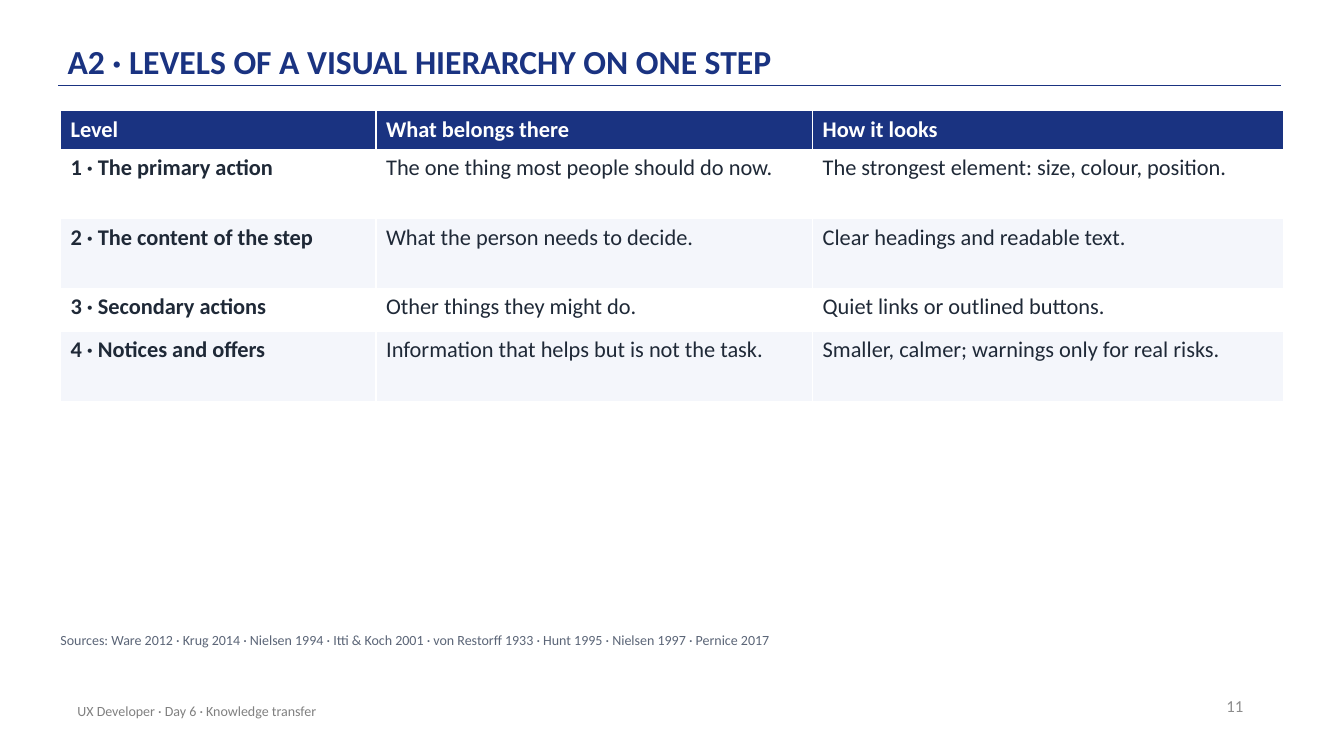
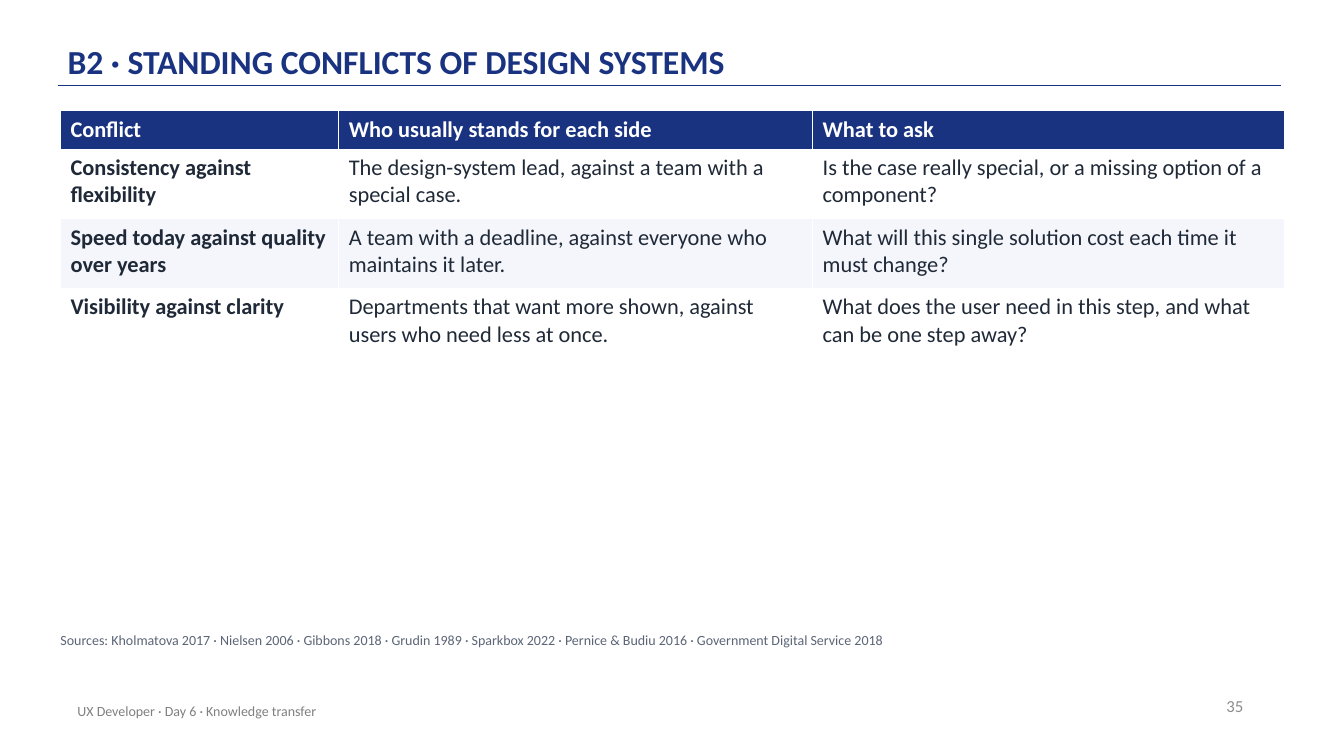
from dataclasses import dataclass

from lxml.etree import SubElement
from pptx import Presentation
from pptx.dml.color import RGBColor
from pptx.enum.shapes import MSO_CONNECTOR
from pptx.enum.text import MSO_ANCHOR, PP_ALIGN
from pptx.oxml.ns import qn
from pptx.util import Inches, Pt

# Content
FOOTER = "UX Developer · Day 6 · Knowledge transfer"
PAGES = [
    {
        "title": "A2 · LEVELS OF A VISUAL HIERARCHY ON ONE STEP",
        "number": "11",
        "columns": [3.13, 4.33, 4.67],
        "row_lines": [2, 2, 1, 2],
        "table": [
            ("Level", "What belongs there", "How it looks"),
            ("1 · The primary action", "The one thing most people should do now.",
             "The strongest element: size, colour, position."),
            ("2 · The content of the step", "What the person needs to decide.",
             "Clear headings and readable text."),
            ("3 · Secondary actions", "Other things they might do.",
             "Quiet links or outlined buttons."),
            ("4 · Notices and offers", "Information that helps but is not the task.",
             "Smaller, calmer; warnings only for real risks."),
        ],
        "sources": "Sources: Ware 2012 · Krug 2014 · Nielsen 1994 · Itti & Koch 2001 · "
                   "von Restorff 1933 · Hunt 1995 · Nielsen 1997 · Pernice 2017",
    },
    {
        "title": "B2 · STANDING CONFLICTS OF DESIGN SYSTEMS",
        "number": "35",
        "columns": [2.76, 4.7, 4.68],
        "row_lines": [2, 2, 2],
        "table": [
            ("Conflict", "Who usually stands for each side", "What to ask"),
            ("Consistency against flexibility",
             "The design-system lead, against a team with a special case.",
             "Is the case really special, or a missing option of a component?"),
            ("Speed today against quality over years",
             "A team with a deadline, against everyone who maintains it later.",
             "What will this single solution cost each time it must change?"),
            ("Visibility against clarity",
             "Departments that want more shown, against users who need less at once.",
             "What does the user need in this step, and what can be one step away?"),
        ],
        "sources": "Sources: Kholmatova 2017 · Nielsen 2006 · Gibbons 2018 · Grudin 1989 · "
                   "Sparkbox 2022 · Pernice & Budiu 2016 · Government Digital Service 2018",
    },
]


# Shared look
@dataclass(frozen=True)
class Theme:
    font: str = "Calibri"
    navy: str = "1A3381"
    white: str = "FFFFFF"
    band: str = "F4F6FB"
    ink: str = "1F2937"
    source: str = "5B6577"
    footer: str = "808080"
    number: str = "8C8C8C"
    title_size: int = 24
    table_size: int = 16
    number_size: int = 12
    small_size: int = 10


THEME = Theme()
HEADER_HEIGHT = 0.38
ROW_HEIGHTS = {1: 0.43, 2: 0.69}  # by number of text lines


def write(frame, text, size, color, bold=False, align=PP_ALIGN.LEFT,
          line_spacing=None, space_after=None):
    para = frame.paragraphs[0]
    para.alignment = align
    para.line_spacing = line_spacing
    if space_after is not None:
        para.space_after = Pt(space_after)
    span = para.add_run()
    span.text = text
    span.font.name = THEME.font
    span.font.size = Pt(size)
    span.font.bold = bold
    span.font.color.rgb = RGBColor.from_string(color)


def add_text(page, area, text, anchor=MSO_ANCHOR.MIDDLE, insets=(0.1, 0.05), **style):
    box = page.shapes.add_textbox(*map(Inches, area))
    frame = box.text_frame
    frame.word_wrap = True
    frame.vertical_anchor = anchor
    frame.margin_left = frame.margin_right = Inches(insets[0])
    frame.margin_top = frame.margin_bottom = Inches(insets[1])
    write(frame, text, **style)


def add_frame(page, title, number):
    """Title with its rule, page number and footer."""
    rule = page.shapes.add_connector(
        MSO_CONNECTOR.STRAIGHT, Inches(0.58), Inches(0.85), Inches(12.71), Inches(0.85))
    rule.line.color.rgb = RGBColor.from_string(THEME.navy)
    rule.line.width = Pt(1)
    SubElement(rule._element.spPr, qn("a:effectLst"))
    add_text(page, (0.67, 0.12, 11, 0.72), title, anchor=MSO_ANCHOR.BOTTOM,
             insets=(0, 0.03), size=THEME.title_size, color=THEME.navy, bold=True,
             line_spacing=0.9)
    add_text(page, (9.43, 6.8, 3, 0.4), number, size=THEME.number_size,
             color=THEME.number, align=PP_ALIGN.RIGHT)
    add_text(page, (0.67, 6.85, 6.7, 0.4), FOOTER, size=THEME.small_size,
             color=THEME.footer)


def add_grid(page, rows, columns, row_lines):
    heights = [HEADER_HEIGHT] + [ROW_HEIGHTS[lines] for lines in row_lines]
    grid = page.shapes.add_table(
        len(rows), len(columns), Inches(0.6), Inches(1.1),
        Inches(sum(columns)), Inches(sum(heights))).table
    grid.horz_banding = False
    for column, width in zip(grid.columns, columns):
        column.width = Inches(width)
    for row_index, (texts, height) in enumerate(zip(rows, heights)):
        grid.rows[row_index].height = Inches(height)
        header = row_index == 0
        fill = THEME.navy if header else (THEME.band, THEME.white)[row_index % 2]
        for column_index, text in enumerate(texts):
            cell = grid.cell(row_index, column_index)
            cell.fill.solid()
            cell.fill.fore_color.rgb = RGBColor.from_string(fill)
            write(cell.text_frame, text, size=THEME.table_size,
                  color=THEME.white if header else THEME.ink,
                  bold=header or column_index == 0)


def main():
    deck = Presentation()
    deck.slide_width, deck.slide_height = Inches(13.33), Inches(7.5)
    for content in PAGES:
        page = deck.slides.add_slide(deck.slide_layouts[6])
        add_frame(page, content["title"], content["number"])
        add_grid(page, content["table"], content["columns"], content["row_lines"])
        add_text(page, (0.6, 6.27, 12.1, 0.3), content["sources"],
                 anchor=MSO_ANCHOR.TOP, insets=(0, 0), size=THEME.small_size,
                 color=THEME.source, space_after=6)
    deck.save("out.pptx")


if __name__ == "__main__":
    main()
